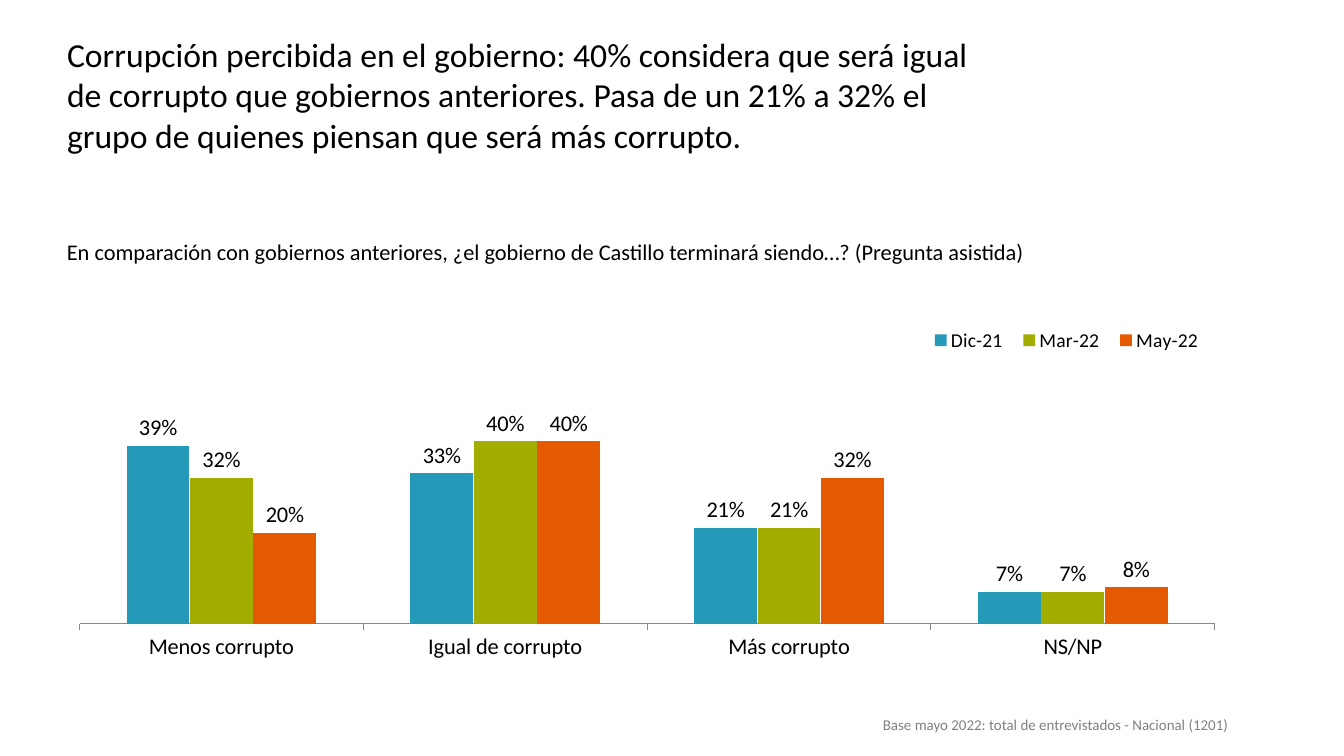
from dataclasses import dataclass

import pptx
import pptx.chart.data
import pptx.dml.color
import pptx.enum.chart
import pptx.enum.text
import pptx.oxml
import pptx.util
from pptx.oxml.ns import nsdecls

EMU_PER_PX = 914400 / 100.8
ALIGN = pptx.enum.text.PP_ALIGN


@dataclass(frozen=True)
class Theme:
    font: str = "Calibri"
    black: str = "000000"
    gray: str = "808080"
    axis: str = "888888"
    title_size: float = 24
    body_size: float = 16
    legend_size: float = 14
    footer_size: float = 10.7


@dataclass(frozen=True)
class Box:
    left: int
    top: int
    width: int
    height: int

    def emu(self) -> list[int]:
        return [px(n) for n in (self.left, self.top, self.width, self.height)]


@dataclass(frozen=True)
class Label:
    text: str
    box: Box
    size: float
    color: str
    align: ALIGN = ALIGN.LEFT
    line_spacing: float = 1.0


@dataclass(frozen=True)
class Survey:
    name: str
    color: str
    values: tuple[float, ...]


THEME = Theme()
TITLE = Label(
    "Corrupción percibida en el gobierno: 40% considera que será igual de corrupto que "
    "gobiernos anteriores. Pasa de un 21% a 32% el grupo de quienes piensan que será más corrupto.",
    Box(57, 29, 929, 187), THEME.title_size, THEME.black)
LABELS = (
    Label("En comparación con gobiernos anteriores, ¿el gobierno de Castillo terminará siendo…? "
          "(Pregunta asistida)", Box(57, 233, 1046, 37), THEME.body_size, THEME.black),
    Label("Base mayo 2022: total de entrevistados - Nacional (1201)",
          Box(873, 713, 423, 26), THEME.footer_size, THEME.gray, ALIGN.JUSTIFY, 0.9),
)
CHART_BOX = Box(79, 152, 1145, 554)
ANSWERS = ("Menos corrupto", "Igual de corrupto", "Más corrupto", "NS/NP")
SURVEYS = (
    Survey("Dic-21", "2599B8", (0.39, 0.33, 0.21, 0.07)),
    Survey("Mar-22", "A2AD00", (0.32, 0.40, 0.21, 0.07)),
    Survey("May-22", "E55A00", (0.20, 0.40, 0.32, 0.08)),
)


def px(length: int) -> int:
    return round(length * EMU_PER_PX)


def rgb(color: str) -> pptx.dml.color.RGBColor:
    return pptx.dml.color.RGBColor.from_string(color)


def style_font(font, size: float, color: str = THEME.black) -> None:
    font.name = THEME.font
    font.size = pptx.util.Pt(size)
    font.bold = False
    font.color.rgb = rgb(color)


def write_label(shape, label: Label) -> None:
    shape.left, shape.top, shape.width, shape.height = label.box.emu()
    frame = shape.text_frame
    frame.text = label.text
    frame.word_wrap = True
    frame.auto_size = pptx.enum.text.MSO_AUTO_SIZE.NONE
    frame.vertical_anchor = pptx.enum.text.MSO_ANCHOR.TOP
    paragraph = frame.paragraphs[0]
    paragraph.alignment = label.align
    paragraph.line_spacing = label.line_spacing
    style_font(paragraph.runs[0].font, label.size, label.color)


def manual_layout(x: float, y: float, width: float, height: float, target: str = ""):
    """Build a chart layout from fractions of the chart area."""
    return pptx.oxml.parse_xml(
        f'<c:layout {nsdecls("c")}><c:manualLayout>{target}'
        '<c:xMode val="edge"/><c:yMode val="edge"/>'
        f'<c:x val="{x}"/><c:y val="{y}"/><c:w val="{width}"/><c:h val="{height}"/>'
        '</c:manualLayout></c:layout>')


def place_layout(parent, layout, index: int) -> None:
    """Put the layout at the index, instead of any layout already there."""
    for old in parent.xpath("c:layout"):
        parent.remove(old)
    parent.insert(index, layout)


def style_axes(chart) -> None:
    category_axis = chart.category_axis
    category_axis.major_tick_mark = pptx.enum.chart.XL_TICK_MARK.OUTSIDE
    category_axis.has_major_gridlines = False
    category_axis.format.line.color.rgb = rgb(THEME.axis)
    category_axis.format.line.width = pptx.util.Pt(0.75)
    style_font(category_axis.tick_labels.font, THEME.body_size)
    value_axis = chart.value_axis
    value_axis.minimum_scale = 0
    value_axis.maximum_scale = 1
    value_axis.has_major_gridlines = False
    value_axis.visible = False


def style_legend(chart) -> None:
    chart.has_legend = True
    legend = chart.legend
    legend.position = pptx.enum.chart.XL_LEGEND_POSITION.RIGHT
    legend.include_in_layout = False
    style_font(legend.font, THEME.legend_size)
    place_layout(legend._element, manual_layout(0.735, 0.315, 0.255, 0.05), 1)


def style_series(series, survey: Survey) -> None:
    series.format.fill.solid()
    series.format.fill.fore_color.rgb = rgb(survey.color)
    labels = series.data_labels
    labels.show_value = True
    labels.position = pptx.enum.chart.XL_LABEL_POSITION.OUTSIDE_END
    labels.number_format = "0%"
    labels.number_format_is_linked = False
    style_font(labels.font, THEME.body_size)


def add_survey_chart(slide) -> None:
    data = pptx.chart.data.CategoryChartData(number_format="0%")
    data.categories = ANSWERS
    for survey in SURVEYS:
        data.add_series(survey.name, survey.values)
    chart = slide.shapes.add_chart(
        pptx.enum.chart.XL_CHART_TYPE.COLUMN_CLUSTERED, *CHART_BOX.emu(), data).chart
    chart.has_title = False
    style_font(chart.font, THEME.legend_size)
    style_axes(chart)
    style_legend(chart)
    plot = chart.plots[0]
    plot.gap_width = 150
    plot.overlap = -1
    plot.vary_by_categories = False
    for series, survey in zip(plot.series, SURVEYS):
        style_series(series, survey)
    plot_area = chart._chartSpace.chart.plotArea
    inner = '<c:layoutTarget val="inner"/>'
    place_layout(plot_area, manual_layout(0, 0.028, 0.992, 0.824, inner), 0)


def main() -> None:
    presentation = pptx.Presentation()
    presentation.slide_width, presentation.slide_height = px(1344), px(756)
    title_only = presentation.slide_layouts.get_by_name("Title Only")
    slide = presentation.slides.add_slide(title_only)
    write_label(slide.shapes.title, TITLE)
    for label in LABELS:
        write_label(slide.shapes.add_textbox(*label.box.emu()), label)
    add_survey_chart(slide)
    presentation.save("out.pptx")


if __name__ == "__main__":
    main()
